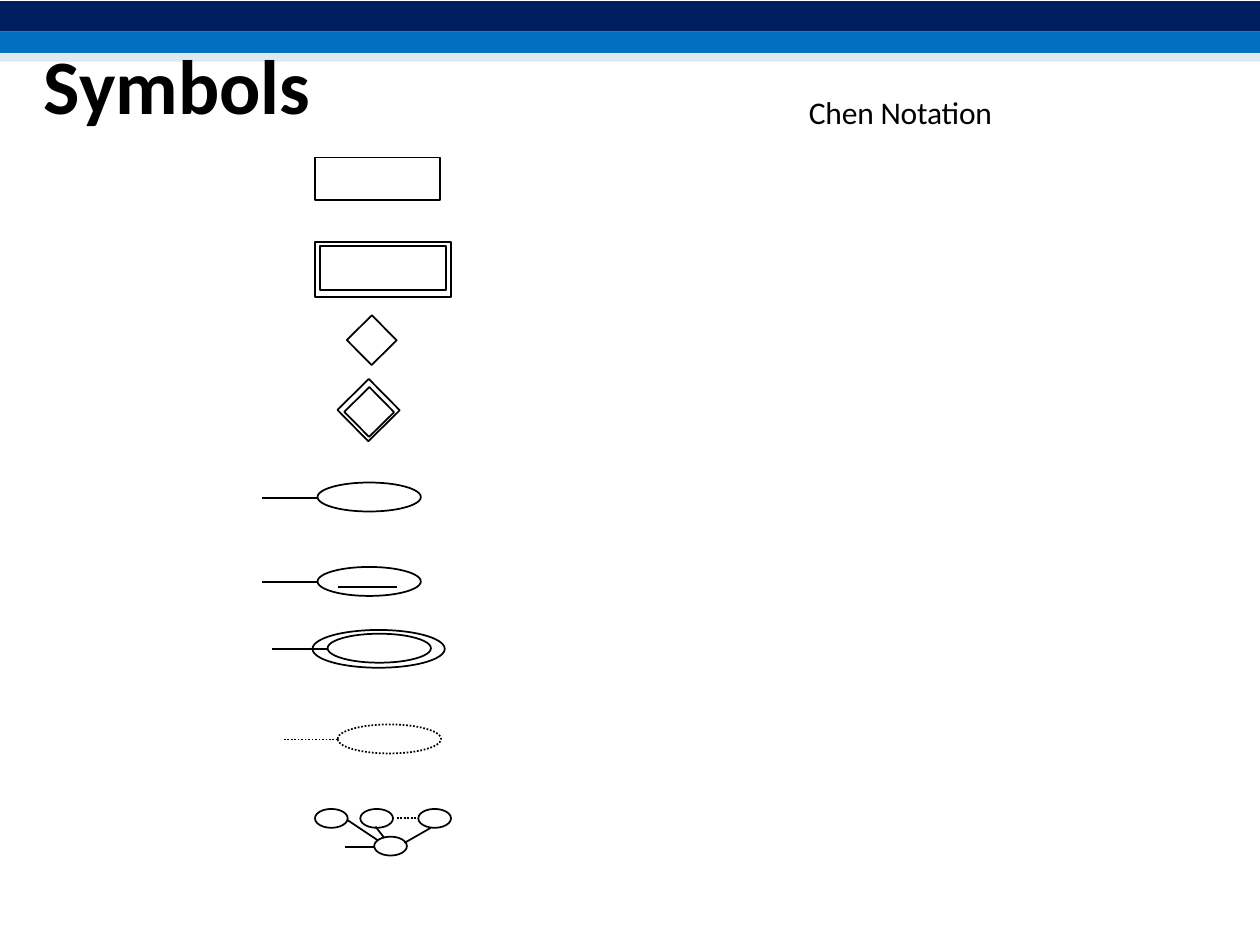
import pptx
import pptx.util
import pptx.dml.color
import pptx.enum.dml
import pptx.enum.shapes
import pptx.enum.text
import pptx.oxml.ns
import lxml.etree

PX = 9144
COLORS = {"navy": "001F5F", "blue": "006FC0", "pale": "BDD2E0", "black": "000000"}
SHAPE = pptx.enum.shapes.MSO_SHAPE
DOTTED = pptx.enum.dml.MSO_LINE.ROUND_DOT
qn = pptx.oxml.ns.qn


def outline(parent, kind, x, y, w, h, rotation=0, dash=None):
    sp = parent.shapes.add_shape(kind, x * PX, y * PX, w * PX, h * PX)
    sp.shadow.inherit = False
    sp.fill.background()
    sp.line.color.rgb = pptx.dml.color.RGBColor.from_string(COLORS["black"])
    sp.line.width = pptx.util.Pt(1)
    sp.line.dash_style = dash
    sp.rotation = rotation
    return sp


def link(parent, x1, y1, x2, y2, dash=None):
    cx = parent.shapes.add_connector(
        pptx.enum.shapes.MSO_CONNECTOR.STRAIGHT, x1 * PX, y1 * PX, x2 * PX, y2 * PX)
    cx.line.color.rgb = pptx.dml.color.RGBColor.from_string(COLORS["black"])
    cx.line.width = pptx.util.Pt(1)
    cx.line.dash_style = dash
    lxml.etree.SubElement(cx._element.spPr, qn("a:effectLst"))


prs = pptx.Presentation()
prs.slide_width = 1000 * PX
prs.slide_height = 750 * PX
s = prs.slides.add_slide(prs.slide_layouts[6])

for top, height, name in [(25, 17, "blue"), (1, 24, "navy"), (42, 7, "pale")]:
    band = outline(s, SHAPE.RECTANGLE, 0, top, 1000, height)
    band.fill.solid()
    band.fill.fore_color.rgb = pptx.dml.color.RGBColor.from_string(COLORS[name])
    band.line.fill.background()
color = band.fill._xPr.find(qn("a:solidFill"))[0]
lxml.etree.SubElement(color, qn("a:alpha")).set("val", "50000")

outline(s, SHAPE.RECTANGLE, 250, 125, 99, 34)
weak_entity = s.shapes.add_group_shape()
outline(weak_entity, SHAPE.RECTANGLE, 254, 195, 100, 35)
outline(weak_entity, SHAPE.RECTANGLE, 250, 192, 108, 44)

outline(s, SHAPE.RECTANGLE, 281, 256, 28, 28, rotation=45.4)
weak_relationship = s.shapes.add_group_shape()
outline(weak_relationship, SHAPE.RECTANGLE, 279, 313, 28, 28, rotation=45.4)
outline(weak_relationship, SHAPE.RECTANGLE, 275, 308, 35, 35, rotation=45.4)

for kind, x, y in [("simple", 252, 383), ("key", 252, 450),
                   ("multivalued", 260, 503), ("derived", 268, 575)]:
    attribute = s.shapes.add_group_shape()
    dash = DOTTED if kind == "derived" else None
    outline(attribute, SHAPE.OVAL, x, y, 82, 23, dash=dash)
    link(attribute, x, y + 12, x - 44, y + 12, dash)
    if kind == "key":
        link(attribute, x + 16, y + 16, x + 63, y + 16)
    if kind == "multivalued":
        outline(attribute, SHAPE.OVAL, x - 12, y - 3, 105, 30)

composite = s.shapes.add_group_shape()
for x, y in [(250, 642), (286, 642), (332, 642), (297, 664)]:
    outline(composite, SHAPE.OVAL, x, y, 26, 15)
for ends in [(298, 672, 274, 672), (276, 651, 300, 667),
             (298, 656, 305, 665), (321, 669, 342, 657)]:
    link(composite, *ends)
link(composite, 315, 649, 331, 649, DOTTED)

table = s.shapes.add_table(9, 1, 417 * PX, 100 * PX, 458 * PX, 583 * PX).table
table.first_row = False
table.horz_banding = False
for cell in table.iter_cells():
    cell.fill.background()

for text, x, y, w, h, size, bold in [("Symbols", 25, 25, 900, 83, 44, True),
                                     ("Chen Notation", 641, 73, 328, 69, 18, False)]:
    tf = s.shapes.add_textbox(x * PX, y * PX, w * PX, h * PX).text_frame
    tf.word_wrap = True
    tf.text = text
    p = tf.paragraphs[0]
    r = p.runs[0]
    r.font.name = "Calibri"
    r.font.size = pptx.util.Pt(size)
    r.font.bold = bold
    r.font.color.rgb = pptx.dml.color.RGBColor.from_string(COLORS["black"])
    if bold:
        tf.vertical_anchor = pptx.enum.text.MSO_ANCHOR.MIDDLE
    else:
        tf.margin_left = tf.margin_right = tf.margin_bottom = 0
        tf.margin_top = PX
        p._p.get_or_add_pPr().set("marL", str(PX))
        r.font._element.set("spc", "-10")

prs.save("out.pptx")
